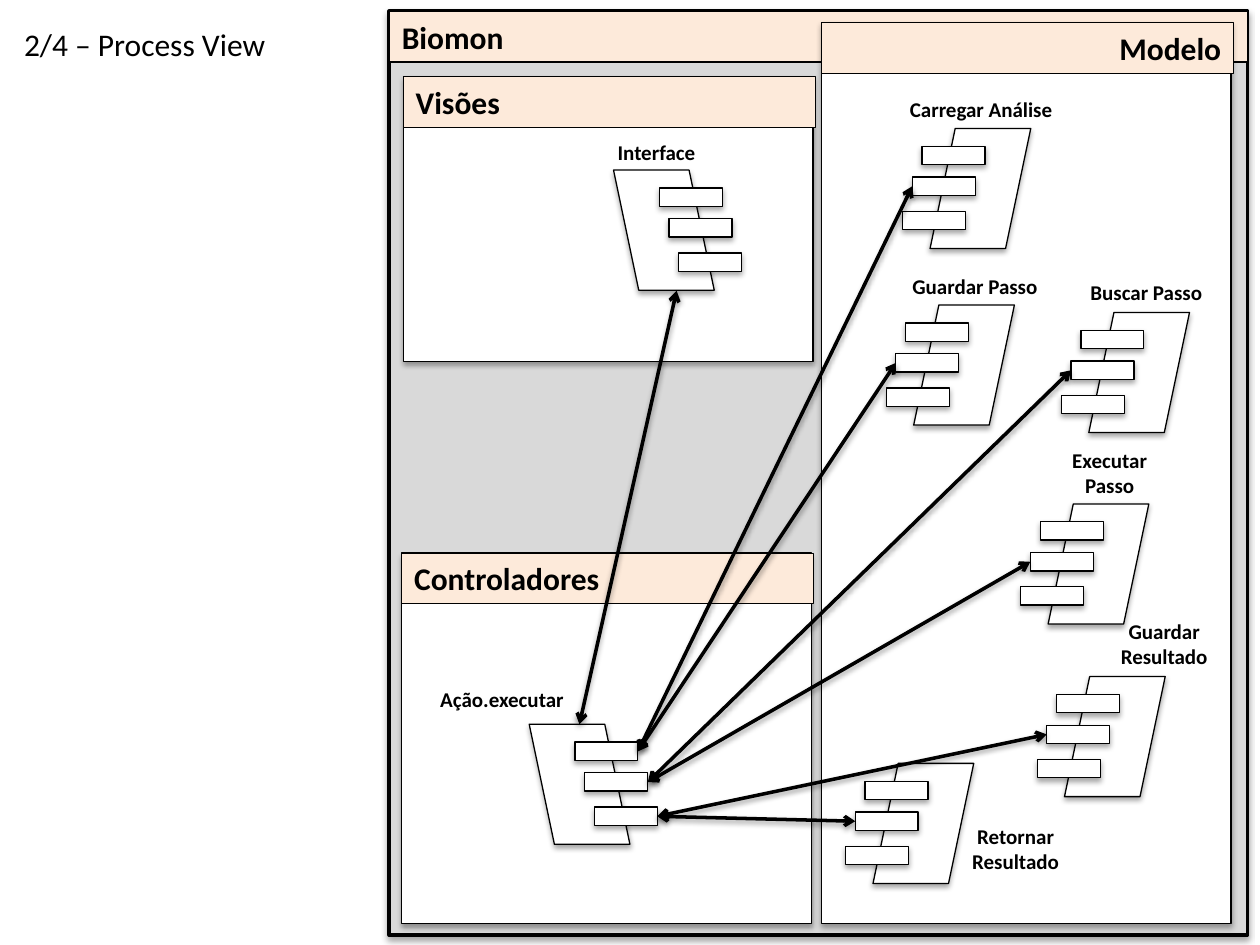
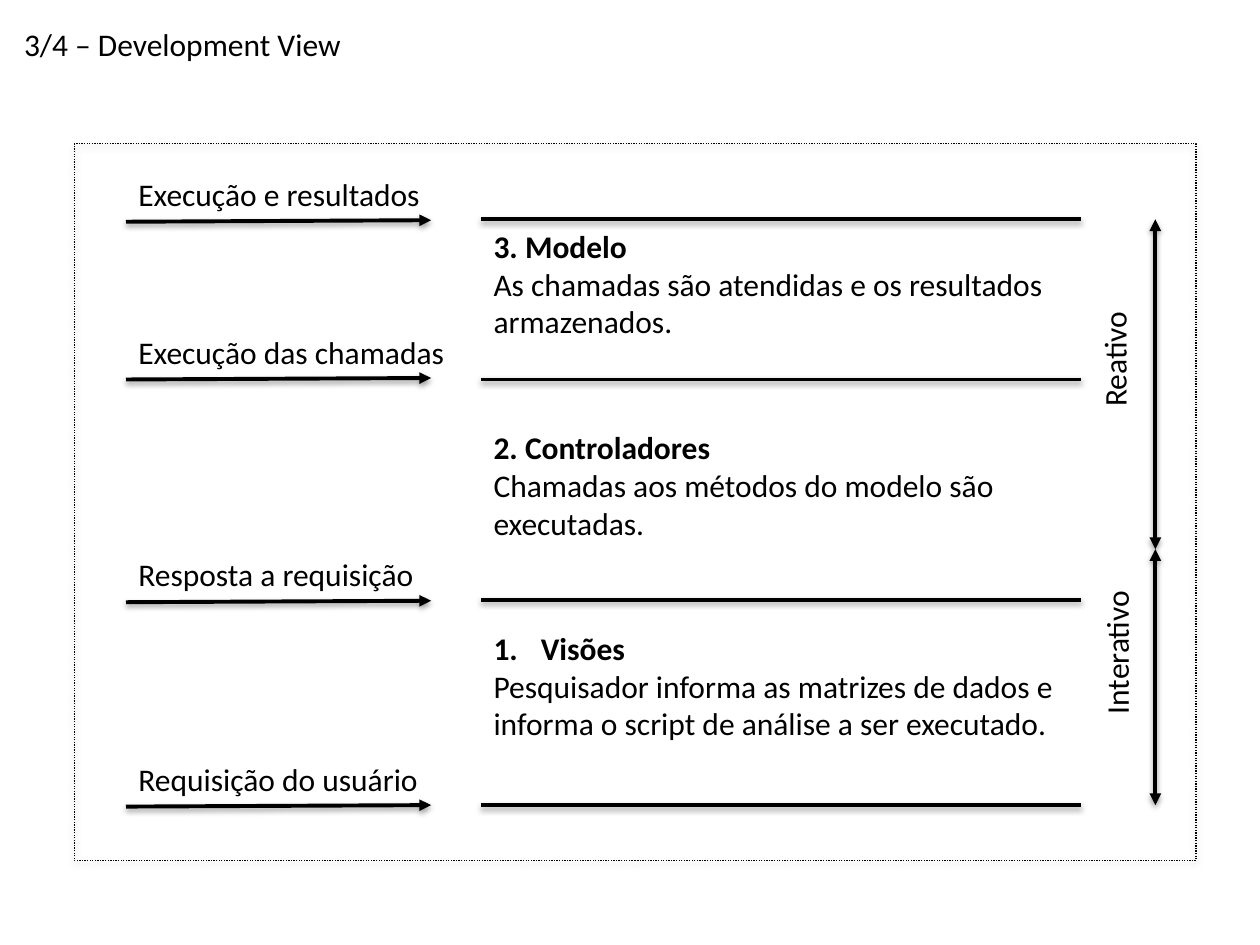
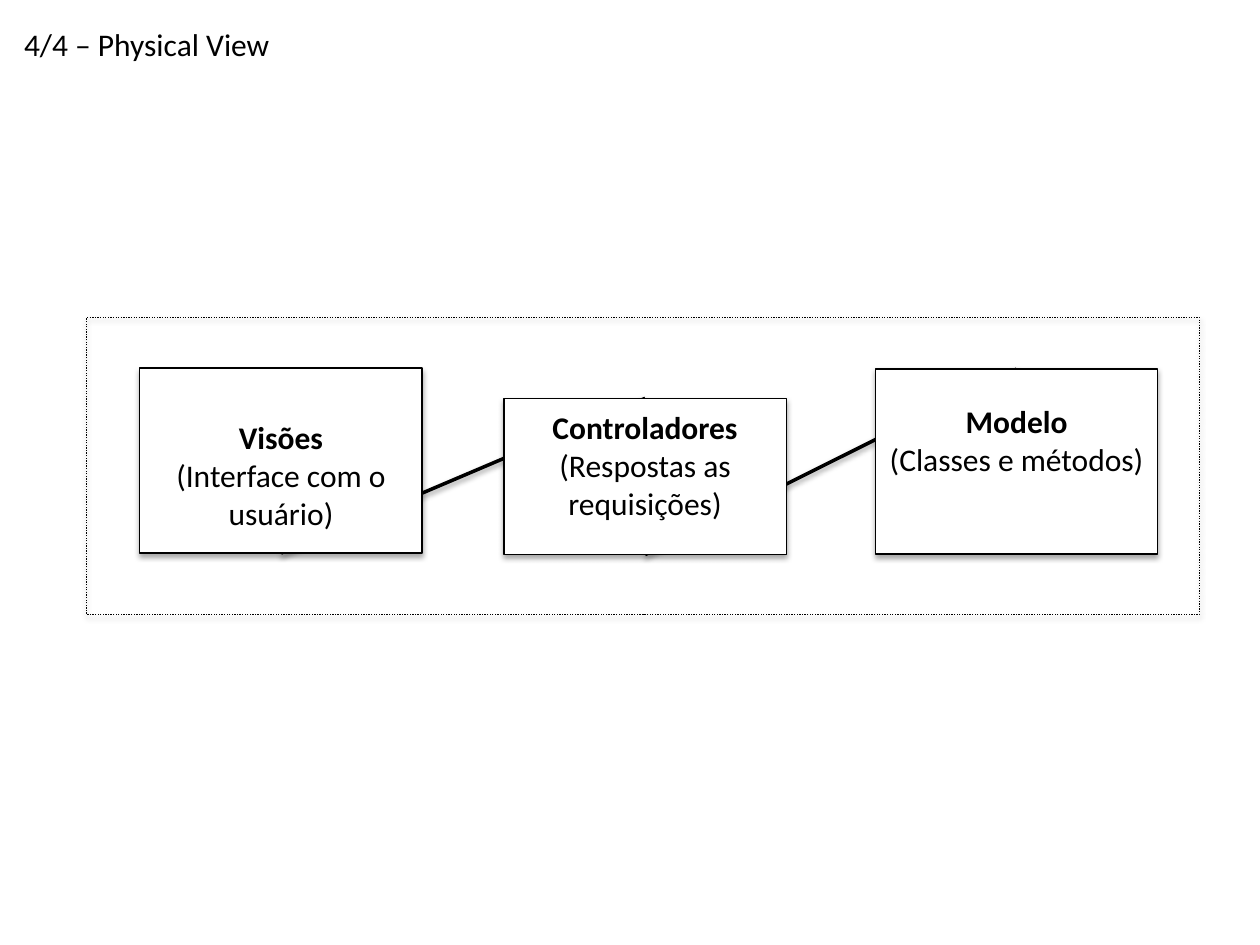
import pptx
import pptx.util
import pptx.dml.color
import pptx.enum.dml
import pptx.enum.shapes
import pptx.enum.text
import pptx.oxml.ns
import lxml.etree

Cm = pptx.util.Cm
Pt = pptx.util.Pt
qn = pptx.oxml.ns.qn
MSO_SHAPE = pptx.enum.shapes.MSO_SHAPE
STRAIGHT = pptx.enum.shapes.MSO_CONNECTOR.STRAIGHT
PP_ALIGN = pptx.enum.text.PP_ALIGN
DOTTED = pptx.enum.dml.MSO_LINE.ROUND_DOT

BLACK = pptx.dml.color.RGBColor(0x00, 0x00, 0x00)
WHITE = pptx.dml.color.RGBColor(0xFF, 0xFF, 0xFF)
GREY = pptx.dml.color.RGBColor(0xD9, 0xD9, 0xD9)
PEACH = pptx.dml.color.RGBColor(0xFD, 0xEA, 0xDA)
FONT = "Calibri"
BOX_SHADOW = (23000, 35000)
LINE_SHADOW = (20000, 38000)


def outline(item, width, shadow=None, dash=None, head=None, tail=None):
    item.line.color.rgb = BLACK
    item.line.width = Pt(width)
    if dash:
        item.line.dash_style = dash
    properties = item._element.spPr
    for end, kind in (("a:headEnd", head), ("a:tailEnd", tail)):
        if kind:
            lxml.etree.SubElement(properties.find(qn("a:ln")), qn(end), type=kind)
    effects = lxml.etree.SubElement(properties, qn("a:effectLst"))
    if shadow:
        distance, opacity = shadow
        outer = lxml.etree.SubElement(effects, qn("a:outerShdw"), blurRad="40000",
                                      dist=str(distance), dir="5400000", rotWithShape="0")
        colour = lxml.etree.SubElement(outer, qn("a:srgbClr"), val="000000")
        lxml.etree.SubElement(colour, qn("a:alpha"), val=str(opacity))


def write(frame, texts, size=18, bold_first=False, align=PP_ALIGN.LEFT):
    frame.word_wrap = True
    frame.auto_size = pptx.enum.text.MSO_AUTO_SIZE.NONE
    frame.vertical_anchor = pptx.enum.text.MSO_ANCHOR.TOP
    for index, text in enumerate(texts):
        paragraph = frame.add_paragraph() if index else frame.paragraphs[0]
        paragraph.alignment = align
        run = paragraph.add_run()
        run.text = text
        run.font.name = FONT
        run.font.size = Pt(size)
        run.font.bold = bold_first and index == 0
        run.font.color.rgb = BLACK


prs = pptx.Presentation()
prs.slide_width = Cm(25.4)
prs.slide_height = Cm(19.05)

views = []
for heading in ("2/4 – Process View", "3/4 – Development View", "4/4 – Physical View"):
    view = prs.slides.add_slide(prs.slide_layouts[5])
    title = view.shapes.title
    title.left, title.top, title.width, title.height = Cm(0.23), Cm(0.38), Cm(7.6), Cm(1.02)
    write(title.text_frame, [heading])
    views.append(view.shapes)
process_view, development_view, physical_view = views

panels = [
    ("Biomon", 7.85, 0.23, 17.3, 18.62, GREY, 2.25, 0, 0.75, PP_ALIGN.LEFT),
    ("Visões", 8.13, 1.55, 8.26, 5.74, WHITE, 0.75, 0.05, 0.5, PP_ALIGN.LEFT),
    ("Modelo", 16.56, 0.46, 8.26, 18.16, WHITE, 0.75, 0.05, 0.75, PP_ALIGN.RIGHT),
    ("Controladores", 8.1, 11.15, 8.26, 7.47, WHITE, 0.75, 0.05, 0.5, PP_ALIGN.LEFT),
]
for name, x, y, width, height, fill, border, overhang, band_border, align in panels:
    panel = process_view.add_shape(MSO_SHAPE.RECTANGLE, Cm(x), Cm(y), Cm(width), Cm(height))
    panel.fill.solid()
    panel.fill.fore_color.rgb = fill
    outline(panel, border, BOX_SHADOW)
    band = process_view.add_shape(MSO_SHAPE.RECTANGLE, Cm(x), Cm(y), Cm(width + overhang), Cm(1.02))
    band.fill.solid()
    band.fill.fore_color.rgb = PEACH
    outline(band, band_border)
    write(band.text_frame, [name], bold_first=True, align=align)

PROCESS_WIDTH, PROCESS_HEIGHT = 2.03, 2.42
STEP_WIDTH, STEP_HEIGHT = 1.27, 0.37
STEP_OFFSETS = [(-0.16, 0.36), (-0.36, 0.98), (-0.55, 1.67)]
processes = [
    ("Carregar Análise", 18.75, 2.59, False, 17.86, 1.83, 3.84),
    ("Guardar Passo", 18.42, 6.15, False, 18.08, 5.38, 3.15),
    ("Buscar Passo", 21.95, 6.3, False, 21.56, 5.51, 3.1),
    ("Executar Passo", 21.13, 10.16, False, 20.96, 8.89, 2.82),
    ("Guardar Resultado", 21.46, 13.64, False, 22.2, 12.34, 2.54),
    ("Retornar Resultado", 17.6, 15.39, False, 19.18, 16.48, 2.59),
    ("Interface", 12.37, 3.43, True, 12.09, 2.69, 2.29),
    ("Ação.executar", 10.67, 14.6, True, 8.43, 13.72, 3.38),
]
steps = {}
for name, x, y, mirrored, label_x, label_y, label_width in processes:
    process = process_view.add_group_shape().shapes
    body = process.add_shape(MSO_SHAPE.PARALLELOGRAM, Cm(x), Cm(y), Cm(PROCESS_WIDTH), Cm(PROCESS_HEIGHT))
    if mirrored:
        body._element.spPr.xfrm.set("flipH", "1")
    parts = [body]
    for dx, dy in STEP_OFFSETS:
        step_x = x + (PROCESS_WIDTH - STEP_WIDTH - dx if mirrored else dx)
        parts.append(process.add_shape(MSO_SHAPE.RECTANGLE, Cm(step_x), Cm(y + dy),
                                       Cm(STEP_WIDTH), Cm(STEP_HEIGHT)))
    for part in parts:
        part.fill.solid()
        part.fill.fore_color.rgb = WHITE
        outline(part, 0.75, BOX_SHADOW)
    steps[name] = parts[1:]
    label = process_view.add_textbox(Cm(label_x), Cm(label_y), Cm(label_width), Cm(0.76))
    write(label.text_frame, [name], size=12, bold_first=True, align=PP_ALIGN.CENTER)

request = process_view.add_connector(STRAIGHT, Cm(13.64), Cm(5.86), Cm(11.68), Cm(14.6))
outline(request, 2, LINE_SHADOW, head="arrow", tail="arrow")
calls = [
    ("Retornar Resultado", 2),
    ("Carregar Análise", 0),
    ("Guardar Passo", 0),
    ("Executar Passo", 1),
    ("Buscar Passo", 1),
    ("Guardar Resultado", 2),
]
for name, action_step in calls:
    call = process_view.add_connector(STRAIGHT, 0, 0, 0, 0)
    call.begin_connect(steps[name][1], 1)
    call.end_connect(steps["Ação.executar"][action_step], 3)
    outline(call, 2, LINE_SHADOW, head="arrow", tail="arrow")

boundaries = [
    ("Execução e resultados", 4.42, 4.47),
    ("Execução das chamadas", 7.65, 7.65),
    ("Resposta a requisição", 12.09, 12.14),
    ("Requisição do usuário", 16.23, 16.26),
]
for name, boundary_y, flow_y in boundaries:
    boundary = development_view.add_connector(STRAIGHT, Cm(9.7), Cm(boundary_y), Cm(21.79), Cm(boundary_y))
    outline(boundary, 2, LINE_SHADOW)
    flow = development_view.add_connector(STRAIGHT, Cm(2.54), Cm(flow_y), Cm(8.69), Cm(flow_y - 0.03))
    outline(flow, 2.25, LINE_SHADOW, tail="triangle")
    flow_label = development_view.add_textbox(Cm(2.54), Cm(flow_y - 1.07), Cm(6.8), Cm(1.02))
    write(flow_label.text_frame, [name])

layers = [
    (4.45, "3. Modelo", "As chamadas são atendidas e os resultados armazenados."),
    (8.51, "2. Controladores", "Chamadas aos métodos do modelo são executadas."),
    (12.55, "Visões", "Pesquisador informa as matrizes de dados e informa o script de análise a ser executado."),
]
for y, name, description in layers:
    layer = development_view.add_textbox(Cm(9.7), Cm(y), Cm(12.09), Cm(2.57))
    write(layer.text_frame, [name, description], bold_first=True)
numbered = layer.text_frame.paragraphs[0]._p.get_or_add_pPr()
numbered.set("marL", "342900")
numbered.set("indent", "-342900")
lxml.etree.SubElement(numbered, qn("a:buFont"), typeface="+mj-lt")
lxml.etree.SubElement(numbered, qn("a:buAutoNum"), type="arabicPeriod")

phases = [
    ("Reativo", 4.42, 11.07, 21.95, 4.42, 5.64),
    ("Interativo", 11.07, 16.23, 22, 10.08, 6.15),
]
for name, start, end, label_x, label_y, label_height in phases:
    span = development_view.add_connector(STRAIGHT, Cm(23.29), Cm(start), Cm(23.29), Cm(end))
    outline(span, 2.25, LINE_SHADOW, head="triangle", tail="triangle")
    phase = development_view.add_textbox(Cm(label_x), Cm(label_y), Cm(1.27), Cm(label_height))
    write(phase.text_frame, [name], align=PP_ALIGN.CENTER)
    phase.text_frame._txBody.bodyPr.set("vert", "vert270")

links = [physical_view.add_connector(STRAIGHT, 0, 0, 0, 0) for _ in range(2)]
components = [
    ("Visões", "(Interface com o usuário)", 2.82, 7.42, 3.73, 8.31),
    ("Controladores", "(Respostas as requisições)", 10.16, 8.03, 3.15, 8.1),
    ("Modelo", "(Classes e métodos)", 17.65, 7.44, 3.73, 7.98),
]
boxes = []
for name, role, x, y, height, text_y in components:
    component = physical_view.add_group_shape().shapes
    box = component.add_shape(MSO_SHAPE.RECTANGLE, Cm(x), Cm(y), Cm(5.69), Cm(height))
    box.fill.solid()
    box.fill.fore_color.rgb = WHITE
    outline(box, 0.75, BOX_SHADOW)
    caption = component.add_textbox(Cm(x), Cm(text_y), Cm(5.69), Cm(2.57))
    write(caption.text_frame, [name, role], bold_first=True, align=PP_ALIGN.CENTER)
    boxes.append(box)
for link, source, target in zip(links, boxes, boxes[1:]):
    link.begin_connect(source, 2)
    link.end_connect(target, 0)
    outline(link, 2, LINE_SHADOW)

frames = [
    (development_view, 1.5, 2.9, 22.61, 14.45),
    (physical_view, 1.75, 6.4, 22.43, 5.99),
]
for view, x, y, width, height in frames:
    frame = view.add_shape(MSO_SHAPE.RECTANGLE, Cm(x), Cm(y), Cm(width), Cm(height))
    frame.fill.background()
    outline(frame, 0.75, BOX_SHADOW, dash=DOTTED)

prs.save("out.pptx")
